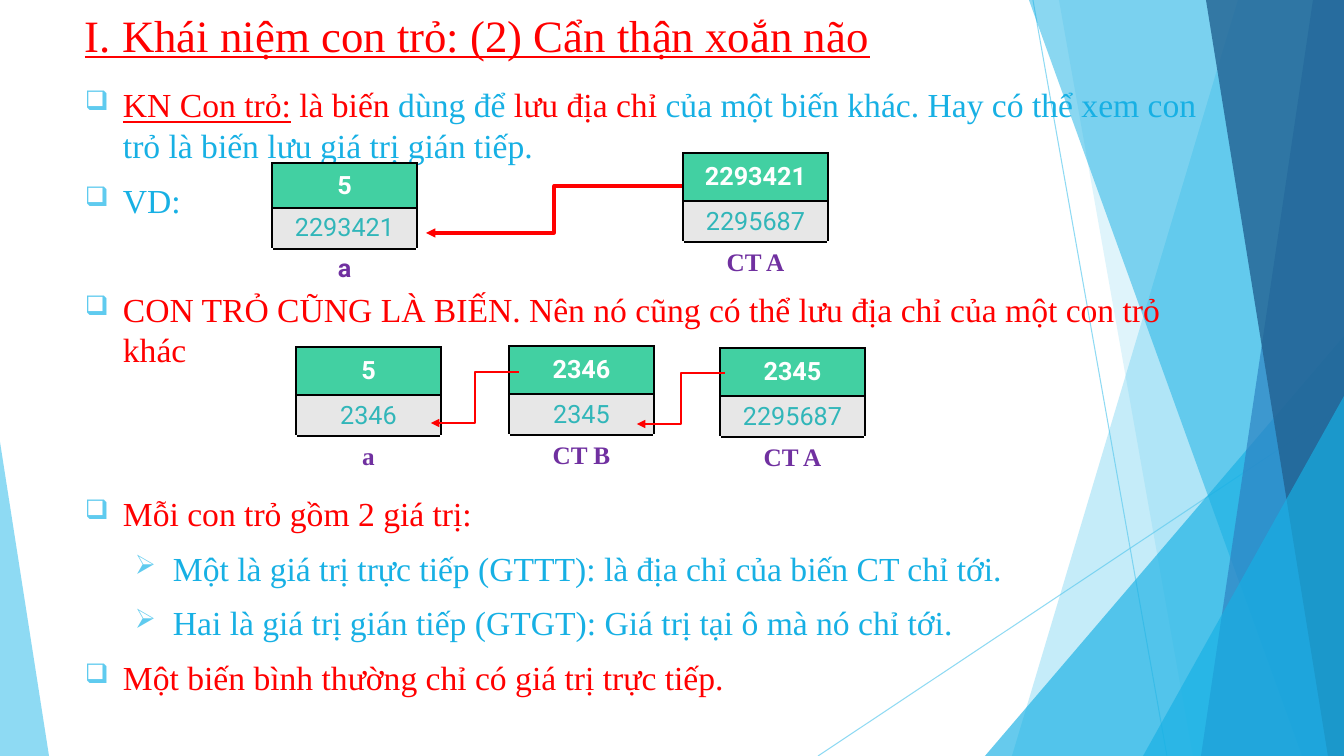
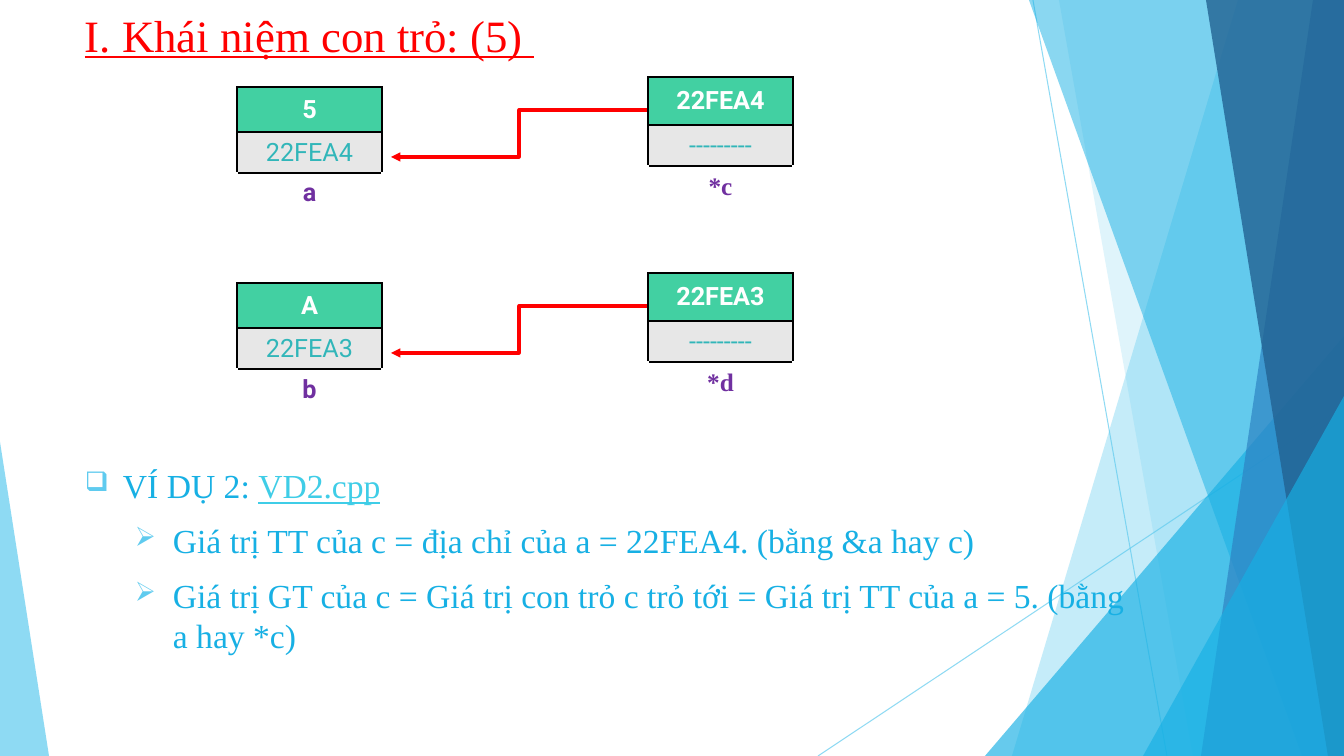
from lxml.etree import SubElement as Sub
from pptx import Presentation
from pptx.dml.color import RGBColor as RGB
from pptx.enum.shapes import MSO_CONNECTOR as Conn, MSO_SHAPE as Form
from pptx.enum.text import MSO_ANCHOR as Anchor, PP_ALIGN as Align
from pptx.oxml.ns import qn
from pptx.util import Emu, Pt

PX = 914400 / 100.8
WIDE, HIGH = 1344, 756
SERIF, SANS = "Times New Roman", "Roboto"

RED = RGB(0xFF, 0x00, 0x00)
SKY = RGB(0x5F, 0xCB, 0xEF)
BLUE = RGB(0x17, 0xB0, 0xE4)
STEEL = RGB(0x2E, 0x83, 0xC3)
NAVY = RGB(0x22, 0x62, 0x92)
LINK = RGB(0x3F, 0xCD, 0xE7)
GREEN = RGB(0x42, 0xD0, 0xA2)
TEAL = RGB(0x31, 0xB6, 0xB9)
GREY = RGB(0xE7, 0xE7, 0xE7)
VIOLET = RGB(0x70, 0x30, 0xA0)
WHITE = RGB(0xFF, 0xFF, 0xFF)
BLACK = RGB(0x00, 0x00, 0x00)

CELL_W, LOW_H = 145, 41
BULLETS = ("❑", "➢")
INDENTS = (38, 88)


def px(*sizes):
    """Turn pixels into EMU lengths."""
    return [Emu(round(n * PX)) for n in sizes]


def fade(node, alpha):
    """Make the one colour inside a node see-through, alpha in percent."""
    color = next(node.iter(qn("a:srgbClr")))
    Sub(color, qn("a:alpha"), val=str(alpha * 1000))


def tint(shape, color, alpha):
    """Fill a shape with a see-through colour and no outline."""
    shape.shadow.inherit = False
    shape.fill.solid()
    shape.fill.fore_color.rgb = color
    shape.line.fill.background()
    fade(shape.fill._xPr, alpha)


def link(slide, kind, start, end, color, width):
    """Draw a connector between two points and return it."""
    line = slide.shapes.add_connector(kind, *px(*start, *end))
    line.line.color.rgb = color
    line.line.width = Pt(width)
    Sub(line._element.spPr, qn("a:effectLst"))
    return line


def arrow(slide, start, end, width):
    """Draw a red elbow arrow."""
    line = link(slide, Conn.ELBOW, start, end, RED, width)
    Sub(line.line._get_or_add_ln(), qn("a:tailEnd"), type="triangle")


def ray(slide, start, end):
    """Draw a thin straight line of the backdrop."""
    line = link(slide, Conn.STRAIGHT, start, end, SKY, 0.75)
    fade(line.line._get_or_add_ln(), 70)


def blade(slide, top, foot, color, alpha):
    """Draw a band from a slanted left edge to the right of the slide."""
    pen = slide.shapes.build_freeform(top, 0, scale=PX)
    pen.add_line_segments([(WIDE, 0), (WIDE, HIGH), (foot, HIGH)])
    tint(pen.convert_to_shape(), color, alpha)


def wedge(slide, left, top, width, tip, color, alpha):
    """Draw a triangle that stands on the foot of the slide."""
    shape = slide.shapes.add_shape(
        Form.ISOSCELES_TRIANGLE, *px(left, top, width, HIGH - top))
    shape.adjustments[0] = tip
    tint(shape, color, alpha)


def scene(slide):
    """Draw the shared backdrop."""
    ray(slide, (1033, 0), (1167, HIGH))
    ray(slide, (WIDE, 406), (818, HIGH))
    blade(slide, 1238, 1012, SKY, 36)
    blade(slide, 1059, 1193, SKY, 20)
    wedge(slide, 985, 336, 359, 1, BLUE, 66)
    blade(slide, 1029, 1302, BLUE, 50)
    blade(slide, 1313, 1201, STEEL, 70)
    blade(slide, 1206, 1328, NAVY, 80)
    wedge(slide, 1143, 396, 201, 1, BLUE, 66)
    wedge(slide, 0, 442, 49, 0, SKY, 70)


def add_run(para, text, color, size=24, font=SERIF, bold=False, under=False):
    """Add one run of text."""
    run = para.add_run()
    run.text = text
    face = run.font
    face.name, face.size, face.bold = font, Pt(size), bold
    face.underline = under
    face.color.rgb = color


def add_box(slide, left, top, width, height):
    """Add a wrapping text box and return its frame."""
    box = slide.shapes.add_textbox(*px(left, top, width, height))
    box.text_frame.word_wrap = True
    return box.text_frame


def title(slide, text):
    """Add the underlined slide title."""
    frame = add_box(slide, 75, 0, 948, 69)
    frame.vertical_anchor = Anchor.MIDDLE
    add_run(frame.paragraphs[0], text, RED, 32, under=True)


def mark(para, level):
    """Give a paragraph its bullet and hanging indent."""
    props = para._p.get_or_add_pPr()
    left, hang = px(INDENTS[level], -38)
    props.set("marL", str(left))
    props.set("indent", str(hang))
    Sub(Sub(props, qn("a:buClr")), qn("a:srgbClr"), val=str(SKY))
    Sub(props, qn("a:buSzPct"), val="80000")
    Sub(props, qn("a:buChar"), char=BULLETS[level])


def body(slide, top, width, items):
    """Add bullets, each given as level, space before and runs."""
    frame = add_box(slide, 75, top, width, HIGH - top)
    for i, (level, gap, runs) in enumerate(items):
        para = frame.add_paragraph() if i else frame.paragraphs[0]
        para.level = level
        para.line_spacing = Pt(29)
        para.space_before = Pt(gap)
        mark(para, level)
        for text, color, *under in runs:
            add_run(para, text, color, under=bool(under))


def edge(cell, sides):
    """Draw black borders on the named sides of a cell."""
    props = cell._tc.get_or_add_tcPr()
    for side in sides:
        line = Sub(props, qn("a:ln" + side), w=str(Pt(1)))
        fill = Sub(line, qn("a:solidFill"))
        Sub(fill, qn("a:srgbClr"), val=str(BLACK))


def memory(slide, left, top, value, place, name, head=48, font=SERIF):
    """Draw a variable: its value, its address and its name below."""
    size = px(left, top, CELL_W, head + 2 * LOW_H)
    table = slide.shapes.add_table(3, 1, *size).table
    table.first_row = table.horz_banding = False
    rows = (
        (value, head, GREEN, WHITE, SANS, True, "LRTB"),
        (place, LOW_H, GREY, TEAL, SANS, False, "LRTB"),
        (name, LOW_H, WHITE, VIOLET, font, True, "T"),
    )
    for i, (text, high, back, color, face, bold, sides) in enumerate(rows):
        table.rows[i].height, = px(high)
        cell = table.cell(i, 0)
        edge(cell, sides)
        cell.fill.solid()
        cell.fill.fore_color.rgb = back
        cell.vertical_anchor = Anchor.MIDDLE
        para = cell.text_frame.paragraphs[0]
        para.alignment = Align.CENTER
        add_run(para, text, color, 18, face, bold)


def pair(slide, left, top, target, source):
    """Draw a pointer with a wide arrow to the variable on its left."""
    memory(slide, left + 411, top - 10, *source)
    memory(slide, left, top, *target, head=45, font=SANS)
    arrow(slide, (left + 410, top + 23), (left + 154, top + 70), 2.25)


def concept(slide):
    """Fill the slide on what a pointer is."""
    title(slide, "I. Khái niệm con trỏ: (2) Cẩn thận xoắn não")
    body(slide, 79, 1147, [
        (0, 10, [
            ("KN Con trỏ:", RED, True),
            (" là biến ", RED),
            ("dùng để ", BLUE),
            ("lưu địa chỉ ", RED),
            ("của một biến khác. Hay có thể xem con trỏ là biến lưu "
             "giá trị gián tiếp.", BLUE)]),
        (0, 10, [("VD: ", BLUE)]),
        (0, 49, [("CON TRỎ CŨNG LÀ BIẾN. Nên nó cũng có thể lưu địa chỉ "
                  "của một con trỏ khác", RED)]),
        (0, 88, [("Mỗi con trỏ gồm 2 giá trị:", RED)]),
        (1, 10, [("Một là giá trị trực tiếp (GTTT): là địa chỉ của biến "
                  "CT chỉ tới.", BLUE)]),
        (1, 10, [("Hai là giá trị gián tiếp (GTGT): Giá trị tại ô mà nó "
                  "chỉ tới.", BLUE)]),
        (0, 10, [("Một biến bình thường chỉ có giá trị trực tiếp.", RED)]),
    ])
    pair(slide, 272, 163, ("5", "2293421", "a"),
         ("2293421", "2295687", "CT A"))
    memory(slide, 720, 348, "2345", "2295687", "CT A")
    memory(slide, 509, 346, "2346", "2345", "CT B")
    memory(slide, 296, 347, "5", "2346", "a")
    for left, top in ((637, 373), (431, 372)):
        arrow(slide, (left + 88, top), (left, top + 51), 1)


def sample(slide):
    """Fill the slide with the second worked example."""
    title(slide, "I. Khái niệm con trỏ: (5) ")
    body(slide, 460, 1077, [
        (0, 10, [("VÍ DỤ 2: ", BLUE), ("VD2.cpp", LINK, True)]),
        (1, 10, [("Giá trị TT của c = địa chỉ của a = 22FEA4. "
                  "(bằng &a hay c)", BLUE)]),
        (1, 10, [("Giá trị GT của c = Giá trị con trỏ c trỏ tới = "
                  "Giá trị TT của a = 5. (bằng a hay *c)", BLUE)]),
    ])
    dashes = "-" * 9
    pair(slide, 237, 87, ("5", "22FEA4", "a"), ("22FEA4", dashes, "*c"))
    pair(slide, 237, 283, ("A", "22FEA3", "b"), ("22FEA3", dashes, "*d"))


def main():
    """Build and save the deck."""
    deck = Presentation()
    deck.slide_width, deck.slide_height = px(WIDE, HIGH)
    for fill in (concept, sample):
        slide = deck.slides.add_slide(deck.slide_layouts[6])
        scene(slide)
        fill(slide)
    deck.save("out.pptx")


main()
